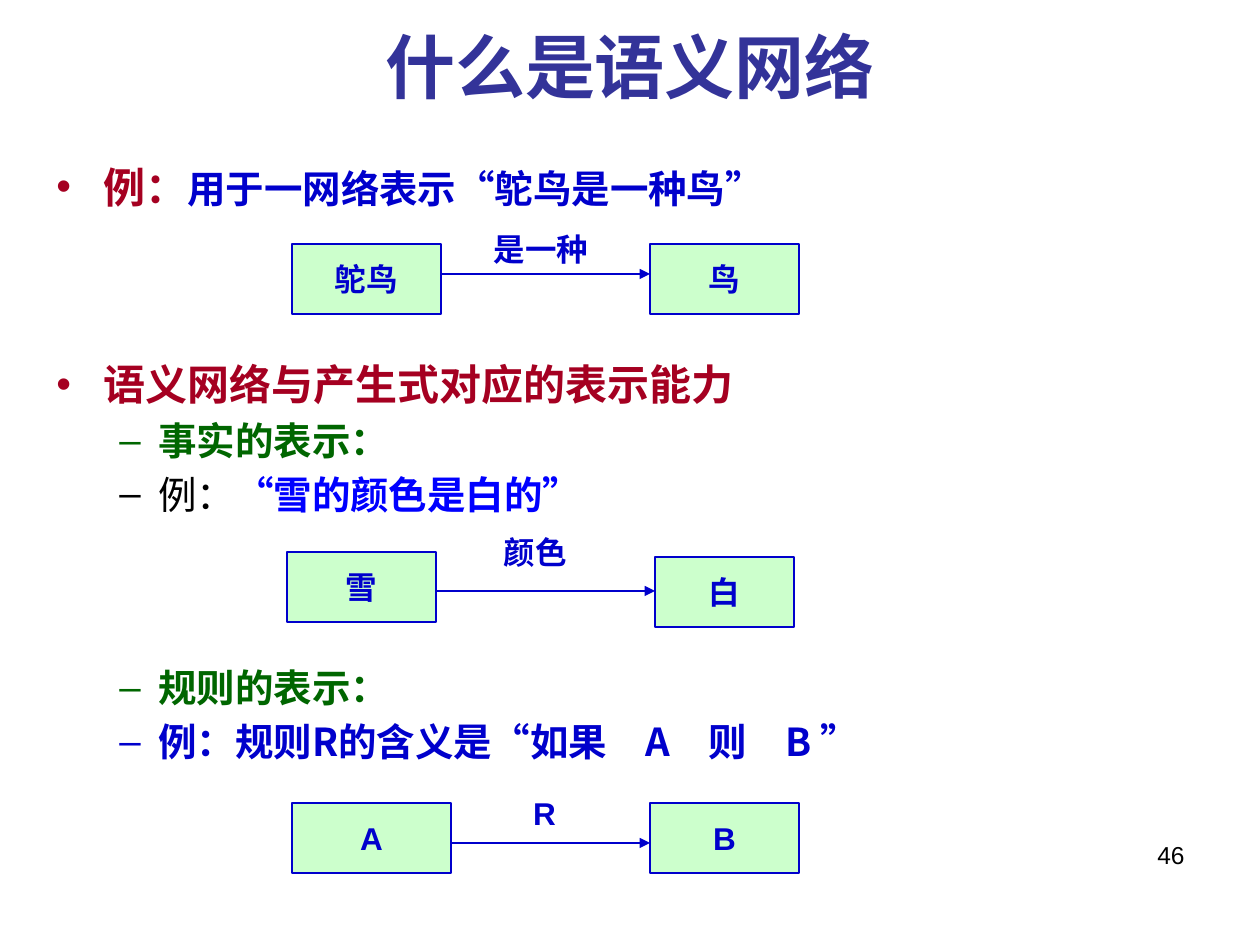
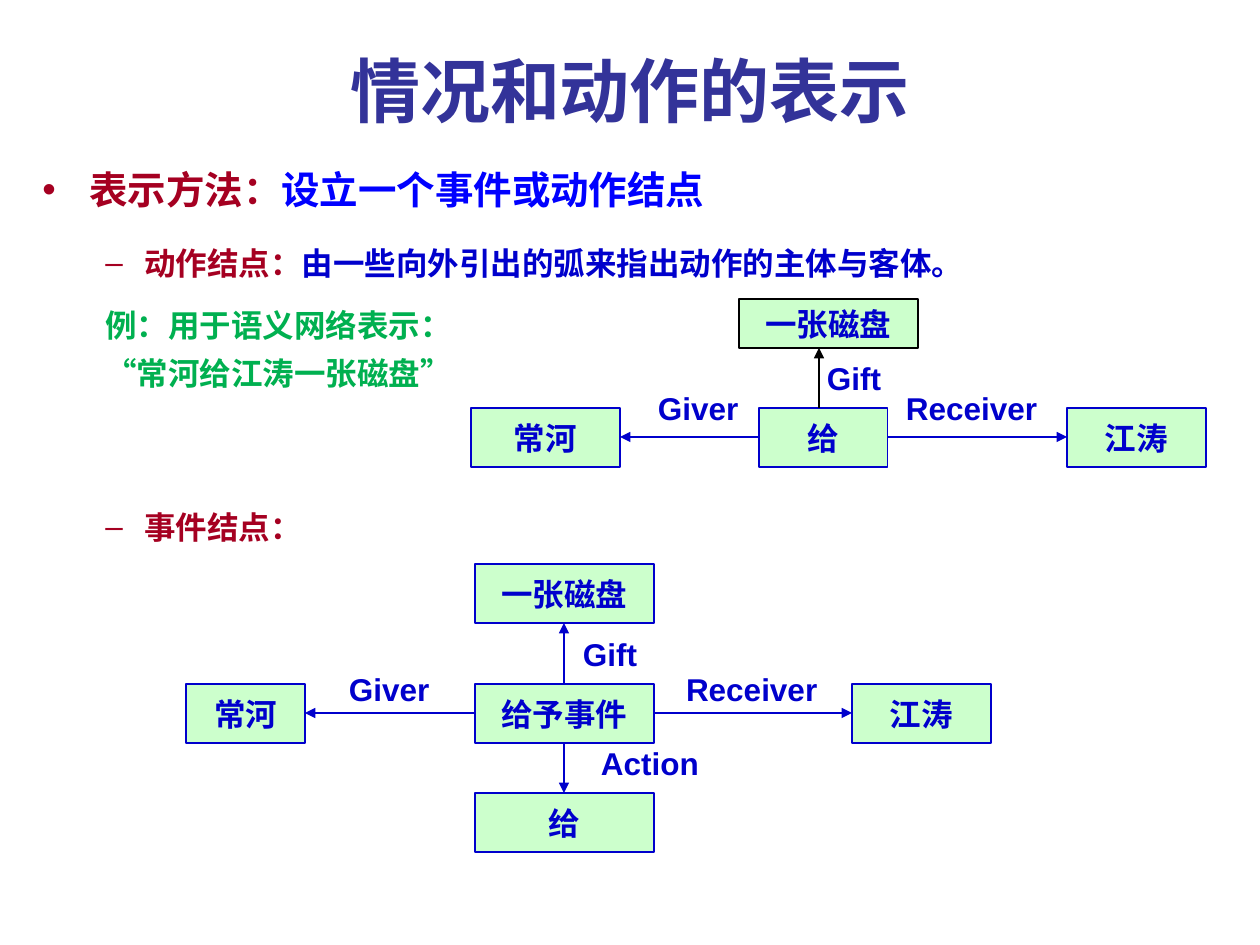
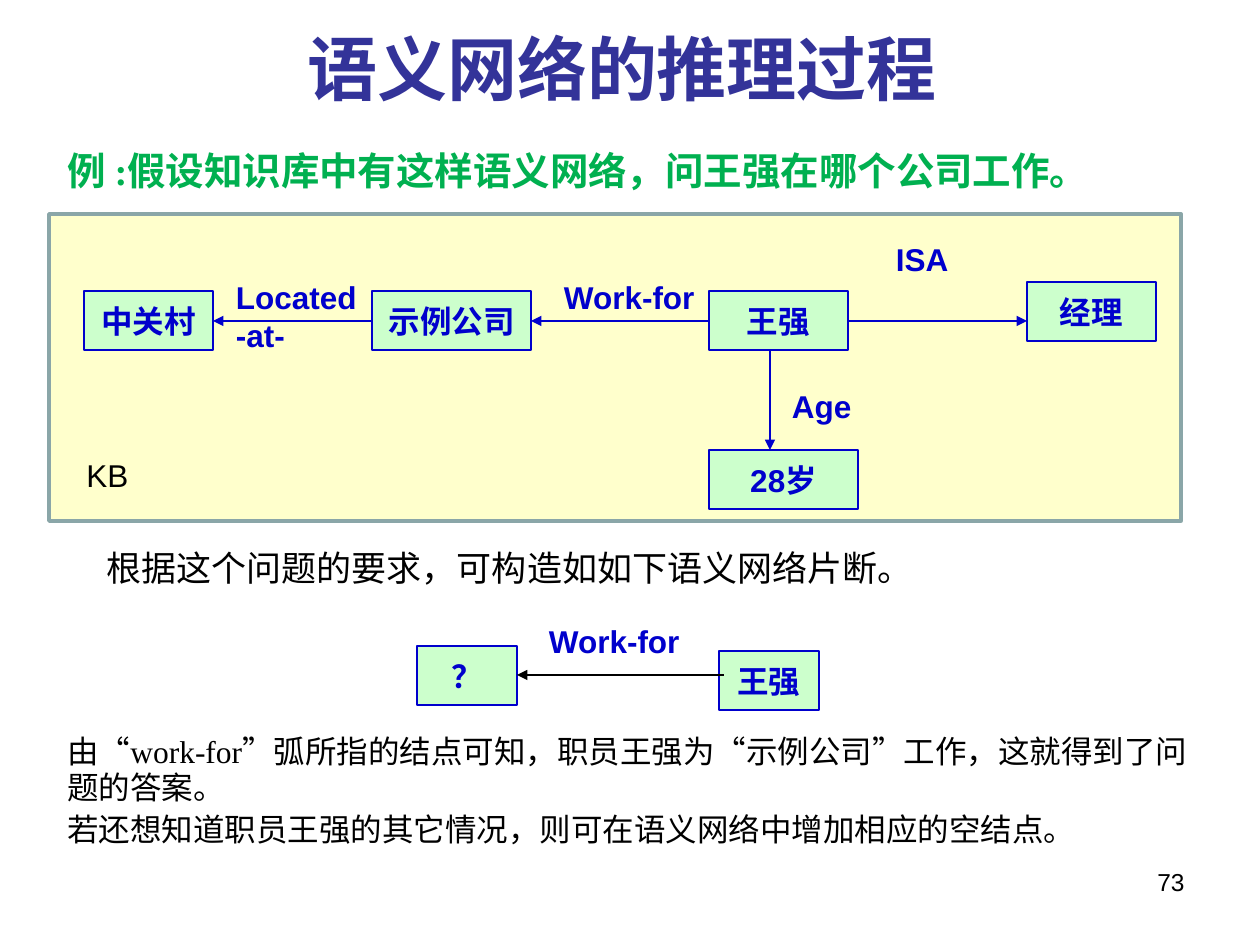
from lxml import etree
from pptx import Presentation, util as u
from pptx.dml.color import RGBColor
from pptx.enum import shapes, text
from pptx.oxml.ns import qn

PX = 914400 / 126  # EMU in one pixel

COLOURS = {
    "title": "333399", "red": "A50021", "green": "006600", "leaf": "00B050",
    "ink": "0000CC", "blue": "0000FF", "black": "000000",
    "node": "CCFFCC", "panel": "FFFFCC", "panel_edge": "8AA6A8",
}
SANS, SERIF, CJK = "Arial", "Times New Roman", "Noto Sans CJK SC"
LABEL = {"size": 18, "name": SANS, "bold": True, "colour": "ink"}
TITLE = {"size": 40, "name": SERIF, "bold": True, "colour": "title"}
NUMBER = {"size": 14, "name": SANS, "bold": False, "colour": "black"}
PLAIN = {**LABEL, "bold": False, "colour": "black"}

# Paragraph kinds: left margin, first-line indent (pixels), bullet sign
KINDS = {
    "point": (47, -47, "•"), "dash": (102, -39, "–"), "example": (63, 0, None),
    "text": (55, 0, None), "inset": (94, 0, None),
}


def emu(pixels):
    """Turn pixels into EMU."""
    return u.Emu(round(pixels * PX))


def place(box):
    """Turn a pixel box into EMU values."""
    return [emu(value) for value in box]


def rgb(colour):
    """Look up a named colour."""
    return RGBColor.from_string(COLOURS[colour])


def add_run(paragraph, words, style):
    """Append one run with the format values of a style."""
    run = paragraph.add_run()
    run.text = words
    values = {**style, "size": u.Pt(style["size"])}
    run.font.color.rgb = rgb(values.pop("colour"))
    for key, value in values.items():
        setattr(run.font, key, value)


def set_frame(frame, **values):
    """Set text frame attributes."""
    for key, value in values.items():
        setattr(frame, key, value)


def add_line_of_text(slide, box, words, style, align=text.PP_ALIGN.LEFT, **frame_values):
    """Place a text box with a single paragraph."""
    frame = slide.shapes.add_textbox(*place(box)).text_frame
    set_frame(frame, word_wrap=True, **frame_values)
    frame.paragraphs[0].alignment = align
    add_run(frame.paragraphs[0], words, style)


def add_title(slide, box, words):
    """Place the slide title."""
    add_line_of_text(slide, box, words, TITLE, text.PP_ALIGN.CENTER,
                     vertical_anchor=text.MSO_ANCHOR.MIDDLE)


def add_number(slide, top, words):
    """Place the page number at the right."""
    add_line_of_text(slide, (903, top, 294, 66), words, NUMBER, text.PP_ALIGN.RIGHT)


def add_body(slide, box, font, spacing, paragraphs):
    """Place the body text: rows of kind, size, space before, runs."""
    frame = slide.shapes.add_textbox(*place(box)).text_frame
    frame.word_wrap = True
    for index, (kind, size, before, runs) in enumerate(paragraphs):
        paragraph = frame.add_paragraph() if index else frame.paragraphs[0]
        paragraph.line_spacing = spacing
        paragraph.space_before = u.Pt(before)
        margin, indent, sign = KINDS[kind]
        props = paragraph._p.get_or_add_pPr()
        props.set("marL", str(emu(margin)))
        props.set("indent", str(emu(indent)))
        if sign:
            etree.SubElement(props, qn("a:buFont")).set("typeface", SANS)
            etree.SubElement(props, qn("a:buChar")).set("char", sign)
        for words, colour, bold in runs:
            add_run(paragraph, words,
                    {"size": size, "name": font, "bold": bold, "colour": colour})


def add_box(slide, box, fill, edge, width):
    """Place a flat outlined rectangle."""
    rectangle = slide.shapes.add_shape(shapes.MSO_SHAPE.RECTANGLE, *place(box))
    rectangle.shadow.inherit = False
    rectangle.fill.solid()
    rectangle.fill.fore_color.rgb = rgb(fill)
    rectangle.line.color.rgb = rgb(edge)
    rectangle.line.width = u.Pt(width)
    return rectangle


def add_node(slide, box, words, edge):
    """Place one concept of a network."""
    frame = add_box(slide, box, "node", edge, 0.75).text_frame
    set_frame(frame, word_wrap=False, vertical_anchor=text.MSO_ANCHOR.MIDDLE)
    frame.paragraphs[0].alignment = text.PP_ALIGN.CENTER
    add_run(frame.paragraphs[0], words, LABEL)


def facing_edges(start, span, end, end_span):
    """Return the facing edges of two intervals on one axis."""
    return (start + span, end) if start < end else (start, end + end_span)


def add_arc(slide, source, target, at, colour, overlap):
    """Draw an arrow between facing edges; at is its cross position."""
    (sx, sy, sw, sh), (tx, ty, tw, th) = source, target
    if sy < at < sy + sh:
        x1, x2 = facing_edges(sx, sw, tx, tw)
        ends = (x1 + overlap, at, x2, at)
    else:
        y1, y2 = facing_edges(sy, sh, ty, th)
        ends = (at, y1, at, y2)
    arrow = slide.shapes.add_connector(shapes.MSO_CONNECTOR.STRAIGHT, *place(ends))
    arrow.line.color.rgb = rgb(colour)
    arrow.line.width = u.Pt(0.75)
    outline = arrow.line._get_or_add_ln()
    etree.SubElement(outline, qn("a:tailEnd")).set("type", "triangle")
    etree.SubElement(arrow._element.spPr, qn("a:effectLst"))


def add_label(slide, box, words):
    """Name an arc; low boxes get narrow margins."""
    side, end = (8, 1) if box[3] == 40 else (13, 6)
    add_line_of_text(slide, box, words, LABEL, margin_left=emu(side), margin_right=emu(side),
                     margin_top=emu(end), margin_bottom=emu(end))


def add_network(slide, origin, nodes, arcs, labels, arc_colour="ink", overlap=0):
    """Draw a network from origin: nodes, arcs between them, arc names."""
    left, top = origin

    def shift(box):
        return (box[0] + left, box[1] + top, *box[2:])

    boxes = {}
    for words, box, *edge in nodes:
        boxes[words] = shift(box)
        add_node(slide, boxes[words], words, edge[0] if edge else "ink")
    for source, target, at, *colour in arcs:
        vertical = boxes[source][1] + boxes[source][3] <= boxes[target][1] \
            or boxes[target][1] + boxes[target][3] <= boxes[source][1]
        add_arc(slide, boxes[source], boxes[target], at + (left if vertical else top),
                colour[0] if colour else arc_colour, overlap)
    for words, box in labels:
        add_label(slide, shift(box), words)


def definition_slide(slide):
    """What a semantic network is, with three small networks."""
    add_number(slide, 834, "46")
    add_body(slide, (44, 155, 1067, 785), CJK, 1, [
        ("point", 24, 0, [("例：", "red", True)]),
        ("point", 24, 84, [("语义网络与产生式对应的表示能力", "red", True)]),
        ("dash", 22, 4.4, [("事实的表示：", "green", True)]),
        ("dash", 22, 4.4, [("例：", "black", False), ("“雪的颜色是白的”", "blue", True)]),
        ("dash", 22, 84, [("规则的表示：", "green", True)]),
        ("dash", 22, 4.4, [("例：规则R的含义是“如果　A　则　B ”", "ink", True)]),
    ])
    first = slide.shapes[-1].text_frame.paragraphs[0]
    add_run(first, "用于一网络表示“鸵鸟是一种鸟”",
            {"size": 22, "name": CJK, "bold": True, "colour": "ink"})
    for origin, start, end, at, label in [
        ((292, 244), ("鸵鸟", (0, 0, 149, 70)), ("鸟", (358, 0, 149, 70)), 30,
         ("是一种", (189, -20, 139, 50))),
        ((287, 552), ("雪", (0, 0, 149, 70)), ("白", (368, 5, 139, 70)), 39,
         ("颜色", (204, -25, 89, 50))),
        ((292, 803), ("A", (0, 0, 159, 70)), ("B", (358, 0, 149, 70)), 40,
         ("R", (228, -15, 59, 50))),
    ]:
        add_network(slide, origin, [start, end], [(start[0], end[0], at)], [label])
    add_title(slide, (63, 1, 1134, 129), "什么是语义网络")


def action_slide(slide):
    """Action nodes and event nodes."""
    add_body(slide, (30, 155, 1196, 790), SERIF, 1.1, [
        ("point", 22, 0, [("表示方法：", "red", True),
                          ("设立一个事件或动作结点", "blue", True)]),
        ("dash", 18, 16, [("动作结点：", "red", True),
                          ("由一些向外引出的弧来指出动作的主体与客体。", "ink", True)]),
        ("example", 18, 12, [("例：用于语义网络表示：", "leaf", True)]),
        ("example", 18, 3.6, [("“常河给江涛一张磁盘”", "leaf", True)]),
        ("dash", 18, 64, [("事件结点：", "red", True)]),
    ])
    add_network(slide, (471, 299), [
        ("一张磁盘", (268, 0, 179, 49), "black"), ("常河", (0, 109, 149, 59)),
        ("给", (288, 109, 129, 59)), ("江涛", (596, 109, 139, 59)),
    ], [
        ("给", "一张磁盘", 348, "black"), ("给", "常河", 138), ("给", "江涛", 138),
    ], [
        ("Gift", (348, 59, 110, 40)), ("Receiver", (427, 89, 149, 40)),
        ("Giver", (179, 89, 100, 40)),
    ])
    add_network(slide, (186, 564), [
        ("一张磁盘", (289, 0, 179, 59)), ("给予事件", (289, 120, 179, 59)),
        ("给", (289, 229, 179, 59)), ("常河", (0, 120, 119, 59)),
        ("江涛", (666, 120, 139, 59)),
    ], [
        ("给予事件", "一张磁盘", 378), ("给予事件", "给", 378),
        ("给予事件", "常河", 149), ("给予事件", "江涛", 149),
    ], [
        ("Gift", (389, 70, 100, 40)), ("Receiver", (487, 100, 159, 50)),
        ("Giver", (150, 100, 118, 50)), ("Action", (407, 179, 139, 40)),
    ])
    add_title(slide, (63, 22, 1134, 135), "情况和动作的表示")


def reasoning_slide(slide):
    """A knowledge base, a question and its answer."""
    add_body(slide, (0, 144, 1225, 724), SERIF, 0.95, [
        ("text", 22, 0, [("例 :假设知识库中有这样语义网络，问王强在哪个公司工作。", "leaf", True)]),
        ("inset", 20, 203, [("根据这个问题的要求，可构造如如下语义网络片断。", "black", False)]),
        ("text", 18, 83, [("由“work-for”弧所指的结点可知，职员王强为“示例公司”工作，"
                           "这就得到了问题的答案。", "black", False)]),
        ("text", 18, 3.6, [("若还想知道职员王强的其它情况，则可在语义网络中增加相应的空结点。",
                            "black", False)]),
    ])
    add_box(slide, (49, 214, 1132, 307), "panel", "panel_edge", 2)
    add_number(slide, 861, "73")
    add_title(slide, (55, 0, 1134, 135), "语义网络的推理过程")
    add_network(slide, (417, 646), [
        ("？", (0, 0, 100, 59)), ("王强", (302, 5, 100, 59)),
    ], [("王强", "？", 29)], [("Work-for", (119, -30, 169, 50))], "black", 5)
    add_network(slide, (49, 214), [
        ("中关村", (35, 77, 129, 59)), ("示例公司", (323, 77, 159, 59)),
        ("王强", (660, 77, 139, 59)), ("经理", (978, 68, 129, 59)),
        ("28岁", (660, 236, 149, 59)),
    ], [
        ("示例公司", "中关村", 107), ("王强", "示例公司", 107),
        ("王强", "经理", 107), ("王强", "28岁", 721),
    ], [
        ("Located-at-", (174, 58, 149, 88)), ("Work-for", (502, 58, 169, 50)),
        ("ISA", (834, 20, 111, 50)), ("Age", (730, 167, 100, 50)),
    ])
    add_line_of_text(slide, (74, 450, 151, 50), "KB", PLAIN)


deck = Presentation()
deck.slide_width, deck.slide_height = emu(1260), emu(945)
for build in (definition_slide, action_slide, reasoning_slide):
    build(deck.slides.add_slide(deck.slide_layouts[6]))
deck.save("out.pptx")
